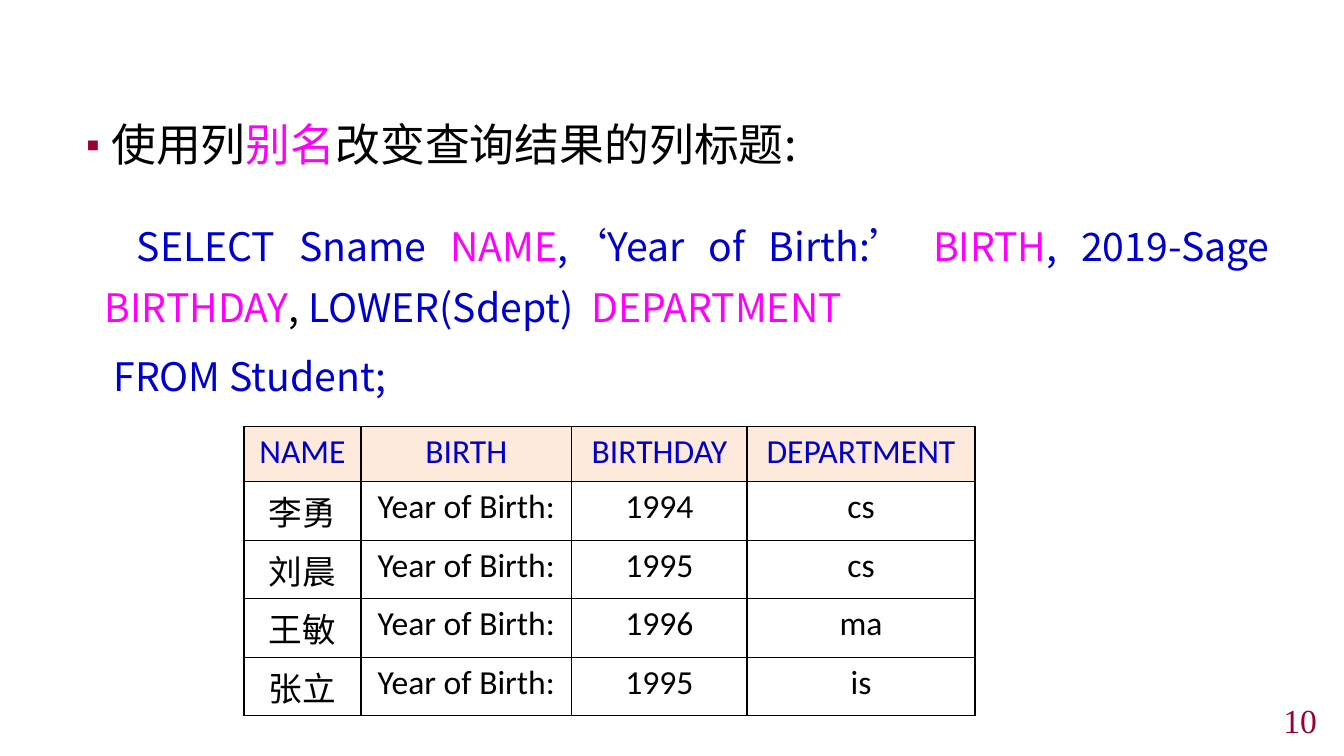
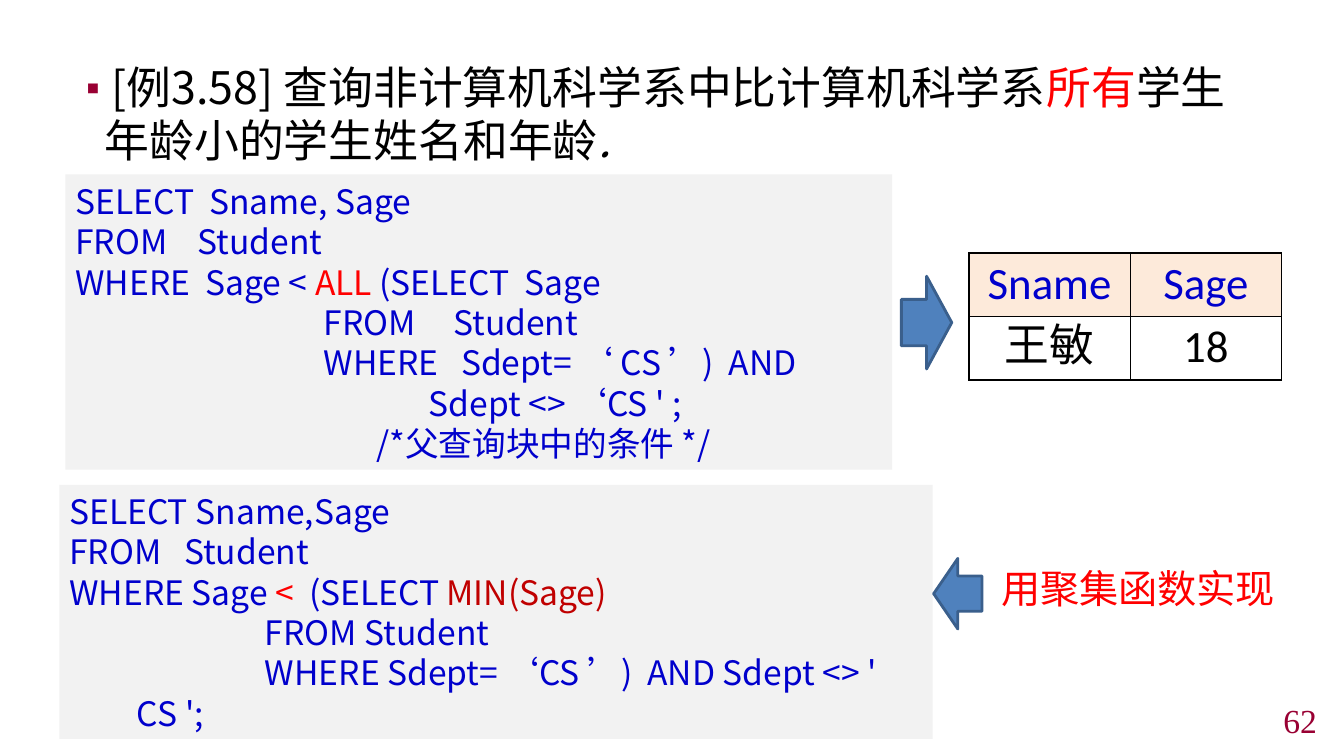
import pptx
import pptx.util
import pptx.dml.color
import pptx.enum.shapes
import pptx.enum.text
from lxml import etree

Inches = pptx.util.Inches
Pt = pptx.util.Pt
SHAPE = pptx.enum.shapes.MSO_SHAPE
ALIGN = pptx.enum.text.PP_ALIGN
ANCHOR = pptx.enum.text.MSO_ANCHOR
NS = "http://schemas.openxmlformats.org/drawingml/2006/main"

COLORS = {
    "black": "000000", "blue": "0000CC", "pink": "FF00FF", "red": "FF0000",
    "brick": "C00000", "wine": "990033", "panel": "F2F2F2", "head": "FDEADA",
    "white": "FFFFFF", "arrow": "4F81BD", "edge": "3A5F8C",
}
HAN = "Noto Sans CJK SC"
TABLE = "Calibri"
NUMBER = "Times New Roman"


def color(name):
    return pptx.dml.color.RGBColor.from_string(COLORS[name])


def node(parent, tag, **attrs):
    return etree.SubElement(parent, f"{{{NS}}}{tag}", **attrs)


def style(run, size, hue, face=HAN):
    run.font.size = Pt(size)
    run.font.color.rgb = color(hue)
    run.font.name = face
    if face != NUMBER:
        node(run.font._element, "ea", typeface=HAN)


def write(para, parts, size, face=HAN):
    """Fill a paragraph with (text, colour) parts."""
    for text, hue in parts:
        run = para.add_run()
        run.text = text
        style(run, size, hue, face)


def indent(para, left, first):
    props = para._p.get_or_add_pPr()
    props.set("marL", str(Inches(left)))
    props.set("indent", str(Inches(first)))
    return props


def bullet(para):
    props = indent(para, 0.29, -0.29)
    node(node(props, "buClr"), "srgbClr", val=COLORS["wine"])
    node(props, "buSzPct", val="80000")
    node(props, "buFont", typeface=HAN)
    node(props, "buChar", char="▪")


def add_box(slide, left, top, width, height):
    box = slide.shapes.add_textbox(*map(Inches, (left, top, width, height)))
    box.text_frame.word_wrap = True
    return box.text_frame


def add_page(slide, number):
    frame = add_box(slide, 10.33, 6.99, 2.83, 0.31)
    frame.vertical_anchor = ANCHOR.MIDDLE
    para = frame.paragraphs[0]
    para.alignment = ALIGN.RIGHT
    write(para, [(number, "wine")], 24, NUMBER)


def add_lead(slide, top, height, parts, pitch):
    """Add the body box with its bulleted first paragraph."""
    frame = add_box(slide, 0.65, top, 12.04, height)
    para = frame.paragraphs[0]
    bullet(para)
    para.line_spacing = Pt(pitch)
    write(para, parts, 32)
    return frame


def add_query(frame, parts, first, before, align):
    para = frame.add_paragraph()
    indent(para, 0.29, first)
    para.line_spacing = Pt(43.6)
    para.space_before = Pt(before)
    para.alignment = align
    write(para, parts, 28)


def add_shape(slide, kind, place, fill):
    shape = slide.shapes.add_shape(kind, *map(Inches, place))
    shape.shadow.inherit = False
    shape.fill.solid()
    shape.fill.fore_color.rgb = color(fill)
    return shape


def add_code(slide, place, lines):
    panel = add_shape(slide, SHAPE.RECTANGLE, place, "panel")
    panel.line.fill.background()
    frame = panel.text_frame
    frame.word_wrap = True
    frame.vertical_anchor = ANCHOR.MIDDLE
    for i, parts in enumerate(lines):
        para = frame.add_paragraph() if i else frame.paragraphs[0]
        indent(para, 0.67, -0.67)
        para.alignment = ALIGN.LEFT
        para.line_spacing = Pt(28.8)
        write(para, parts, 24)


def add_arrow(slide, kind, place):
    arrow = add_shape(slide, kind, place, "arrow")
    arrow.line.color.rgb = color("edge")
    arrow.line.width = Pt(2)


def border(cell):
    props = cell._tc.get_or_add_tcPr()
    for i, side in enumerate(("lnL", "lnR", "lnT", "lnB")):
        line = etree.Element(f"{{{NS}}}{side}", w=str(Pt(1)))
        node(node(line, "solidFill"), "srgbClr", val=COLORS["black"])
        props.insert(i, line)


def add_table(slide, left, top, widths, heights, rows, size, pitch=None):
    grid = slide.shapes.add_table(
        len(rows), len(widths), Inches(left), Inches(top),
        Inches(sum(widths)), Inches(sum(heights))).table
    for col, width in zip(grid.columns, widths):
        col.width = Inches(width)
    for r, (row, height) in enumerate(zip(rows, heights)):
        grid.rows[r].height = Inches(height)
        for c, text in enumerate(row):
            cell = grid.cell(r, c)
            cell.fill.solid()
            cell.fill.fore_color.rgb = color("white" if r else "head")
            border(cell)
            para = cell.text_frame.paragraphs[0]
            para.alignment = ALIGN.CENTER
            if pitch:
                para.line_spacing = Pt(pitch)
            write(para, [(text, "black" if r else "blue")], size, TABLE)


def add_alias(deck):
    slide = deck.slides.add_slide(deck.slide_layouts[6])
    frame = add_lead(slide, 0.95, 6.2, [
        ("使用列", "black"), ("别名", "pink"),
        ("改变查询结果的列标题:", "black")], 50)
    add_query(frame, [
        ("SELECT Sname ", "blue"), ("NAME", "pink"),
        (",‘Year of Birth:’ ", "blue"), ("BIRTH", "pink"),
        (", 2019-Sage ", "blue"), ("BIRTHDAY", "pink"), (", ", "black"),
        ("LOWER(Sdept)  ", "blue"), ("DEPARTMENT", "pink"),
    ], 0.32, 26.6, ALIGN.JUSTIFY)
    add_query(frame, [(" FROM Student;", "blue")], 0, 5.7, ALIGN.LEFT)
    add_page(slide, "10")
    people = [("李勇", "1994", "cs"), ("刘晨", "1995", "cs"),
              ("王敏", "1996", "ma"), ("张立", "1995", "is")]
    rows = [("NAME", "BIRTH", "BIRTHDAY", "DEPARTMENT")]
    rows += [(name, "Year of Birth:", year, dept)
             for name, year, dept in people]
    add_table(slide, 2.42, 4.23, [1.16, 2.09, 1.74, 2.26],
              [0.55] + [0.58] * 4, rows, 24)


def add_nested(deck):
    slide = deck.slides.add_slide(deck.slide_layouts[6])
    frame = add_lead(slide, 0.55, 6.6, [
        ("[例3.58] 查询非计算机科学系中比计算机科学系", "black"),
        ("所有", "red"), ("学生年龄小的学生姓名和年龄", "black"),
        (".", "black")], 38)
    frame.paragraphs[0].runs[-1].font.italic = True
    add_page(slide, "62")
    add_code(slide, (0.65, 1.73, 8.2, 2.93), [
        [("SELECT  Sname, Sage", "blue")],
        [("FROM    Student", "blue")],
        [("WHERE  Sage < ", "blue"), ("ALL ", "red"),
         ("(SELECT  Sage", "blue")],
        [("                                 FROM     Student", "blue")],
        [("                                 WHERE   Sdept= ‘ CS ’)  AND",
          "blue")],
        [("                                               Sdept <> ‘CS ' ;",
          "blue")],
        [("                                        /*父查询块中的条件 */",
          "blue")],
    ])
    add_table(slide, 9.61, 2.51, [1.6, 1.5], [0.63, 0.63],
              [("Sname", "Sage"), ("王敏", "18")], 32, 38)
    add_code(slide, (0.59, 4.81, 8.66, 2.52), [
        [("SELECT Sname,Sage", "blue")],
        [("FROM   Student", "blue")],
        [("WHERE Sage ", "blue"), ("<  ", "red"), ("(SELECT ", "blue"),
         ("MIN(Sage)", "brick")],
        [("                          FROM Student", "blue")],
        [("                          WHERE Sdept= ‘CS ’)  AND Sdept <> ' CS ';",
          "blue")],
    ])
    add_arrow(slide, SHAPE.RIGHT_ARROW, (8.94, 2.74, 0.5, 0.92))
    note = add_box(slide, 9.83, 5.55, 2.95, 0.57)
    note.paragraphs[0].line_spacing = Pt(33.6)
    write(note.paragraphs[0], [("用聚集函数实现", "red")], 28)
    add_arrow(slide, SHAPE.LEFT_ARROW, (9.26, 5.54, 0.48, 0.7))


def main():
    deck = pptx.Presentation()
    deck.slide_width = Inches(13.33)
    deck.slide_height = Inches(7.5)
    add_alias(deck)
    add_nested(deck)
    deck.save("out.pptx")


if __name__ == "__main__":
    main()
